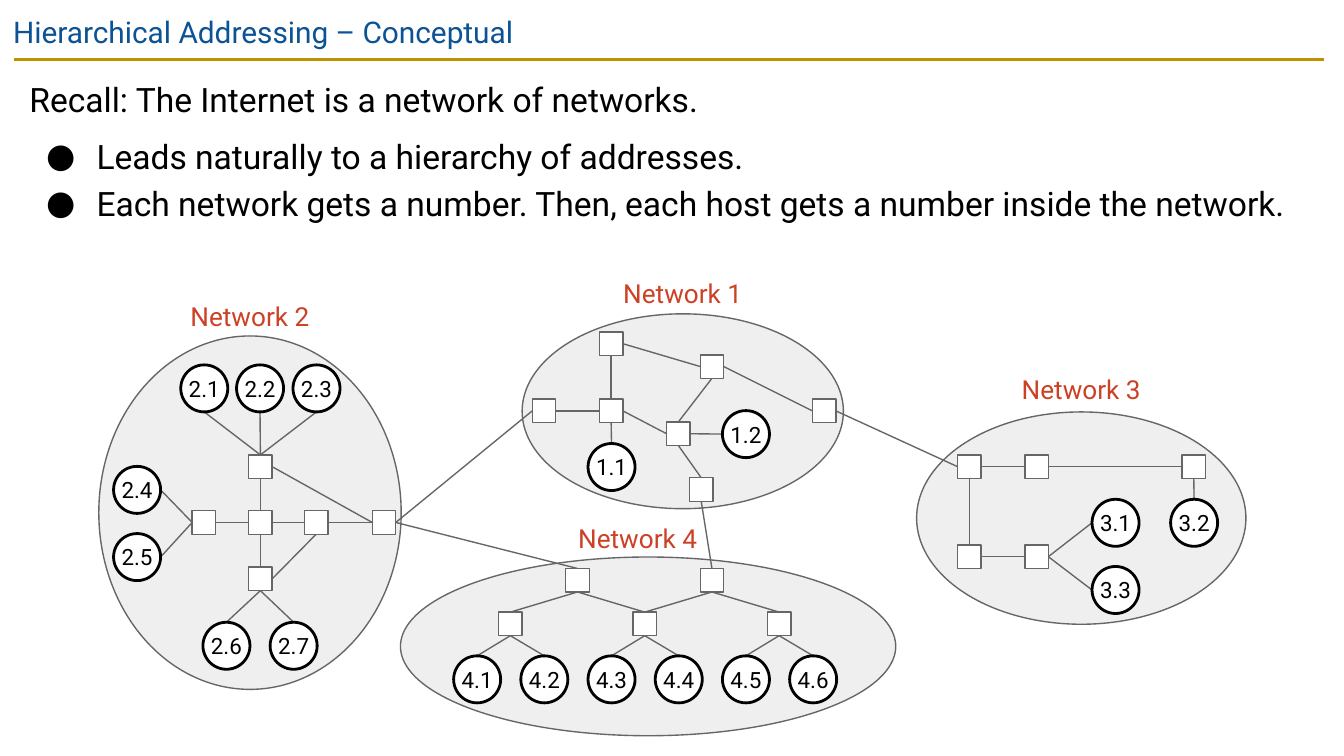
"""Build the slide on hierarchical addressing with four linked networks."""
from lxml import etree
from pptx import Presentation, util as u
from pptx.dml.color import RGBColor
from pptx.enum import shapes, text
from pptx.oxml.ns import qn

PX = 4572
BOX, HOST = 35, 70
THEME = dict(
    font="Roboto", title="0B5394", rule="BF9000", ink="000000", label="CC4125",
    cloud="EFEFEF", edge="666666", white="FFFFFF",
    head=16, body=18, name=14, host=12, thin=0.75, thick=1.5,
)

deck = Presentation()
deck.slide_width, deck.slide_height = 2000 * PX, 1125 * PX
slide = deck.slides.add_slide(deck.slide_layouts[6])
items = slide.shapes


def color(key):
    return RGBColor.from_string(THEME[key])


def style(para, size, ink):
    para.font.name = THEME["font"]
    para.font.size = u.Pt(THEME[size])
    para.font.color.rgb = color(ink)


lines = [((21, 88), (1970, 88), "rule", "thick")]
ovals = [(596, 829, 737, 266), (1364, 613, 490, 316), (777, 467, 478, 290), (147, 500, 450, 526)]

nodes = {
    "1a": (792, 594), "1b": (892, 594), "1c": (892, 494), "1d": (992, 628),
    "1e": (1042, 528), "1f": (1209, 594), "1g": (1026, 711),
    "2a": (286, 760), "2b": (370, 760), "2c": (453, 760), "2d": (370, 844),
    "2e": (370, 677), "2f": (554, 760),
    "3a": (1425, 677), "3b": (1525, 677), "3c": (1425, 811), "3d": (1525, 811),
    "3e": (1759, 677),
    "4a": (842, 846), "4b": (1042, 846), "4c": (742, 911), "4d": (942, 911),
    "4e": (1142, 911),
    "1.1": (875, 660), "1.2": (1075, 611),
    "2.1": (269, 543), "2.2": (352, 543), "2.3": (436, 543), "2.4": (169, 694),
    "2.5": (169, 794), "2.6": (302, 926), "2.7": (402, 926),
    "3.1": (1625, 743), "3.2": (1742, 743), "3.3": (1625, 843),
}
nodes.update({f"4.{i + 1}": (675 + 100 * i, 976) for i in range(6)})

links = """
1a:r-1b:l 1b:t-1c:b 1.1:t-1b:b 1b:r-1d:l 1c:r-1e:l 1d:t-1e:b 1d:r-1.2:l 1e:r-1f:l 1g:t-1d:b
2.4:r-2a:l 2.5:r-2a:l 2a:r-2b:l 2b:r-2c:l 2d:t-2b:b 2b:t-2e:b 2.1:b-2e:t 2.2:b-2e:t
2.3:b-2e:t 2c:r-2f:l 2e:r-2f:l 2d:r-2c:b 2.6:t-2d:b 2.7:t-2d:b
3a:r-3b:l 3a:b-3c:t 3d:l-3c:r 3.1:l-3d:r 3.3:l-3d:r 3b:r-3e:l 3e:b-3.2:t
4c:t-4a:b 4d:t-4a:b 4e:t-4b:b 4d:t-4b:b
4.1:t-4c:b 4.2:t-4c:b 4.3:t-4d:b 4.4:t-4d:b 4.5:t-4e:b 4.6:t-4e:b
2f:r-1a:l 2f:r-4a:t 4b:t-1g:b 1f:r-3a:l
"""
sides = {"t": (0.5, 0), "l": (0, 0.5), "b": (0.5, 1), "r": (1, 0.5)}
for link in links.split():
    ends = []
    for end in link.split("-"):
        name, side = end.split(":")
        size = HOST if "." in name else BOX
        ends.append([at + size * part for at, part in zip(nodes[name], sides[side])])
    lines.append((*ends, "edge", "thin"))

parts = [("", oval, "cloud", "edge", "thin") for oval in ovals]
for name, spot in nodes.items():
    if "." in name:
        parts.append((name, (*spot, HOST, HOST), "white", "ink", "thick"))
    else:
        parts.append(("", (*spot, BOX, BOX), "white", "edge", "thin"))

for kind, group in (("shape", parts[:4]), ("line", lines), ("shape", parts[4:])):
    for part in group:
        if kind == "line":
            start, stop, ink, width = part
            item = items.add_connector(
                shapes.MSO_CONNECTOR.STRAIGHT, *[int(v * PX) for v in (*start, *stop)])
            etree.SubElement(item._element.spPr, qn("a:effectLst"))
        else:
            name, frame, fill, ink, width = part
            form = shapes.MSO_SHAPE.RECTANGLE if frame[2] == BOX else shapes.MSO_SHAPE.OVAL
            item = items.add_shape(form, *[v * PX for v in frame])
            item.shadow.inherit = False
            item.fill.solid()
            item.fill.fore_color.rgb = color(fill)
            if name:
                body = item.text_frame
                body.margin_left = body.margin_right = body.margin_top = body.margin_bottom = 0
                body.word_wrap = False
                body.vertical_anchor = text.MSO_ANCHOR.MIDDLE
                body.text = name
                body.paragraphs[0].alignment = text.PP_ALIGN.CENTER
                style(body.paragraphs[0], "host", "ink")
        item.line.color.rgb = color(ink)
        item.line.width = u.Pt(THEME[width])

points = [
    "Recall: The Internet is a network of networks.",
    "Leads naturally to a hierarchy of addresses.",
    "Each network gets a number. Then, each host gets a number inside the network.",
]
blocks = [
    (["Hierarchical Addressing – Conceptual"], (0, 0, 2000, 86), 20, "head", "title"),
    (points, (24, 88, 1948, 290), 20, "body", "ink"),
]
for i, (x, y) in enumerate([(925, 413), (281, 447), (1518, 556), (858, 778)], 1):
    blocks.append(([f"Network {i}"], (x, y, 182, 48), 0, "name", "label"))

for rows, frame, inset, size, ink in blocks:
    body = items.add_textbox(*[v * PX for v in frame]).text_frame
    body.word_wrap = True
    body.margin_left = body.margin_right = body.margin_top = body.margin_bottom = inset * PX
    body.text = "\n".join(rows)
    for i, para in enumerate(body.paragraphs):
        if i:
            props = para._p.get_or_add_pPr()
            props.set("marL", str(100 * PX))
            props.set("indent", str(-75 * PX))
            tint = etree.SubElement(props, qn("a:buClr"))
            etree.SubElement(tint, qn("a:srgbClr"), val=THEME["ink"])
            etree.SubElement(props, qn("a:buFont"), typeface=THEME["font"])
            etree.SubElement(props, qn("a:buChar"), char="●")
        if size == "body":
            para.line_spacing = 1.15
            para.space_before = u.Pt(6 if i == 1 else 0)
        if size == "name":
            para.alignment = text.PP_ALIGN.CENTER
        style(para, size, ink)

deck.save("out.pptx")
